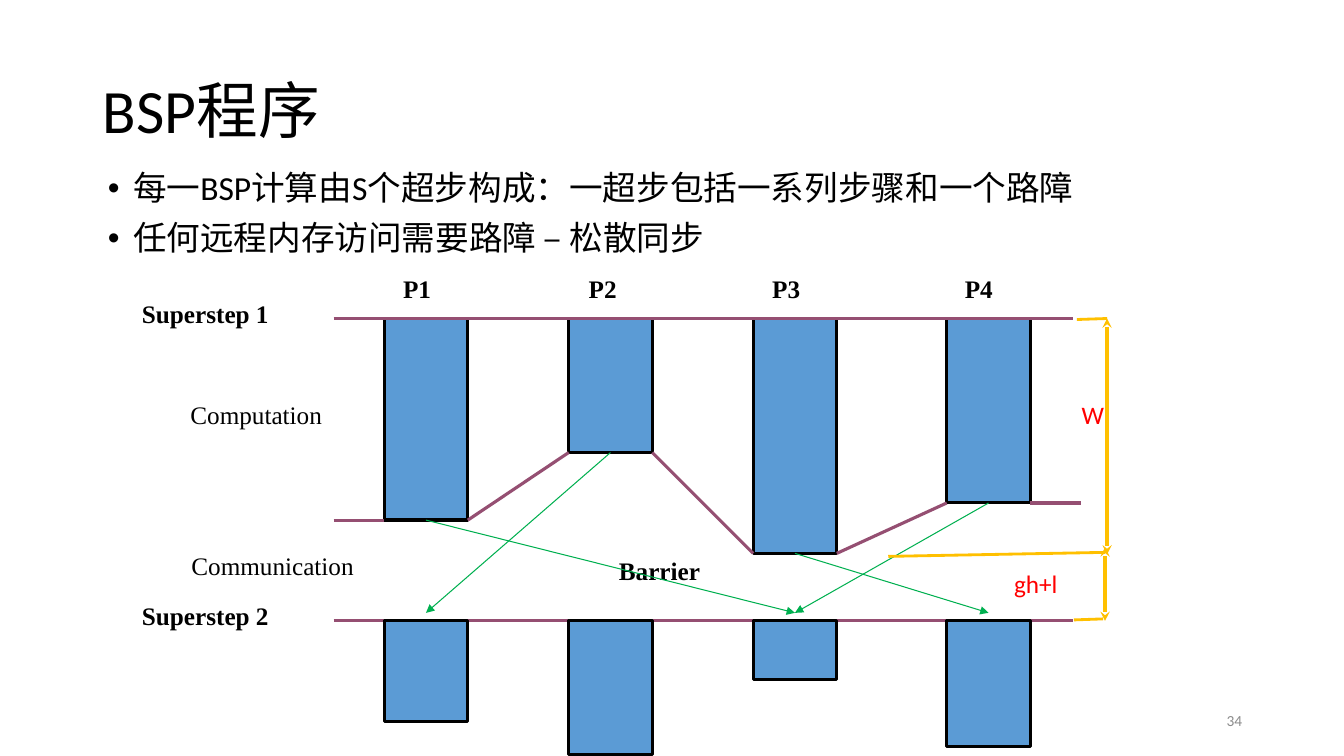
from itertools import pairwise
from lxml.etree import SubElement
from pptx import Presentation
from pptx.dml.color import RGBColor
from pptx.enum.shapes import MSO_CONNECTOR, MSO_SHAPE
from pptx.enum.text import MSO_ANCHOR, MSO_AUTO_SIZE, PP_ALIGN
from pptx.oxml.ns import qn
from pptx.util import Inches, Pt

BLACK = RGBColor(0, 0, 0)
BLUE = RGBColor(0x5B, 0x9B, 0xD5)
PLUM = RGBColor(0x95, 0x4F, 0x72)
GREEN = RGBColor(0, 0xB0, 0x50)
GOLD = RGBColor(0xFF, 0xC0, 0)
RED = RGBColor(0xFF, 0, 0)
GRAY = RGBColor(0x8C, 0x8C, 0x8C)
SANS, SERIF = "Calibri", "Times New Roman"

TITLE = "BSP程序"
POINTS = ["每一BSP计算由S个超步构成：一超步包括一系列步骤和一个路障",
          "任何远程内存访问需要路障 – 松散同步"]
STEPS = [3.16, 6.16]
WIDE = 0.83
LEFT, RIGHT, END = 3.31, 10.72, 10.64
BARS = [(3.81, 2, 1), (5.64, 1.33, 1.33), (7.47, 2.33, 0.58), (9.39, 1.83, 1.25)]
SENDS = [(0, 2), (1, 0), (2, 3), (3, 2)]
LAND = 6.08
HEADS = [("P1", 3.9, 2.66, 0.48), ("P2", 5.74, 2.66, 0.48),
         ("P3", 7.56, 2.66, 0.48), ("P4", 9.47, 2.66, 0.48),
         ("Superstep 1", 1.31, 2.91, 1.47), ("Superstep 2", 1.31, 5.91, 1.47),
         ("Barrier", 6.04, 5.46, 1.02)]
PHASES = [("Computation", 1.79, 3.91, 1.52), ("Communication", 1.8, 5.41, 1.83)]
COSTS = [("W", 10.63, 3.91, 0.22), ("gh+l", 9.96, 5.59, 0.98)]
SPANS = [(10.98, 3.16, 10.98, 5.5), (10.96, 5.43, 10.96, 6.16)]
TICKS = [(8.81, 5.52, 10.96, 5.48), (10.68, 3.17, 10.98, 3.16),
         (10.65, 6.15, 10.94, 6.14)]


def style(para, size, name, color, bold=False):
    """Set the font of a paragraph."""
    font = para.font
    font.size, font.name, font.bold = Pt(size), name, bold
    font.color.rgb = color


def place(shape, *box):
    """Move a placeholder to a box in inches."""
    shape.left, shape.top, shape.width, shape.height = map(Inches, box)
    shape.text_frame.auto_size = MSO_AUTO_SIZE.NONE


def label(slide, text, left, top, width, name, color, bold=False, size=18):
    """Add a one-line text box and return it."""
    box = slide.shapes.add_textbox(*map(Inches, (left, top, width, 0.4)))
    frame = box.text_frame
    frame.word_wrap = False
    frame.text = text
    style(frame.paragraphs[0], size, name, color, bold)
    return box


def line(slide, ends, color, width, head=None, tail=None):
    """Add a straight line with optional arrowheads."""
    link = slide.shapes.add_connector(MSO_CONNECTOR.STRAIGHT, *map(Inches, ends))
    link.line.color.rgb = color
    link.line.width = Pt(width)
    edge = link.line._get_or_add_ln()
    for tag, kind in (("a:headEnd", head), ("a:tailEnd", tail)):
        if kind:
            SubElement(edge, qn(tag), type=kind)
    SubElement(link._element.spPr, qn("a:effectLst"))


def bar(slide, left, top, height):
    """Add one block of work."""
    box = slide.shapes.add_shape(
        MSO_SHAPE.RECTANGLE, *map(Inches, (left, top, WIDE, height)))
    box.shadow.inherit = False
    box.fill.solid()
    box.fill.fore_color.rgb = BLUE
    box.line.color.rgb = BLACK
    box.line.width = Pt(2.25)


def words(slide):
    """Fill the title, the list and the page number."""
    title, body = slide.shapes.title, slide.placeholders[1]
    place(title, 0.92, 0.4, 11.5, 1.45)
    title.text_frame.text = TITLE
    title.text_frame.vertical_anchor = MSO_ANCHOR.MIDDLE
    para = title.text_frame.paragraphs[0]
    para.alignment, para.line_spacing = PP_ALIGN.LEFT, 0.9
    style(para, 44, SANS, BLACK)

    place(body, 0.97, 1.65, 10.46, 4.76)
    body.text_frame.text = "\n".join(POINTS)
    for rank, para in enumerate(body.text_frame.paragraphs):
        para.line_spacing = 0.9
        para.space_before = Pt(10 if rank else 0)
        props = para._p.get_or_add_pPr()
        props.set("marL", str(Inches(0.25)))
        props.set("indent", str(Inches(-0.25)))
        SubElement(props, qn("a:buFont"), typeface="Arial")
        SubElement(props, qn("a:buChar"), char="•")
        style(para, 24, SANS, BLACK)

    page = label(slide, "34", 9.42, 6.95, 3, SANS, GRAY, size=11).text_frame
    page.word_wrap = True
    page.vertical_anchor = MSO_ANCHOR.MIDDLE
    page.paragraphs[0].alignment = PP_ALIGN.RIGHT


def chart(slide):
    """Draw the two supersteps with their messages and costs."""
    first, second = STEPS
    line(slide, (LEFT, second, END, second), PLUM, 2.25)
    for left, work, later in BARS:
        bar(slide, left, first, work)
        bar(slide, left, second, later)

    feet = [(left, left + WIDE, first + work) for left, work, _ in BARS]
    stops = [(LEFT, LEFT, feet[0][2]), *feet, (RIGHT, RIGHT, feet[-1][2])]
    for (_, x, y), (far, _, low) in pairwise(stops):
        line(slide, (x, y, far, low), PLUM, 2.25)
    line(slide, (LEFT, first, END, first), PLUM, 2.25)

    for item in HEADS:
        label(slide, *item, SERIF, BLACK, True)
    for item in PHASES:
        label(slide, *item, SERIF, BLACK)
    for item in COSTS:
        label(slide, *item, SANS, RED)

    mids = [left + WIDE / 2 for left, _, _ in BARS]
    for src, dest in SENDS:
        line(slide, (mids[src], feet[src][2], mids[dest], LAND), GREEN, 0.75,
             tail="triangle")
    for ends in SPANS:
        line(slide, ends, GOLD, 2.25, "stealth", "stealth")
    for ends in TICKS:
        line(slide, ends, GOLD, 2)


def main():
    """Build and save the slide."""
    deck = Presentation()
    deck.slide_width, deck.slide_height = Inches(13.33), Inches(7.5)
    slide = deck.slides.add_slide(deck.slide_layouts[1])
    words(slide)
    chart(slide)
    deck.save("out.pptx")


if __name__ == "__main__":
    main()
